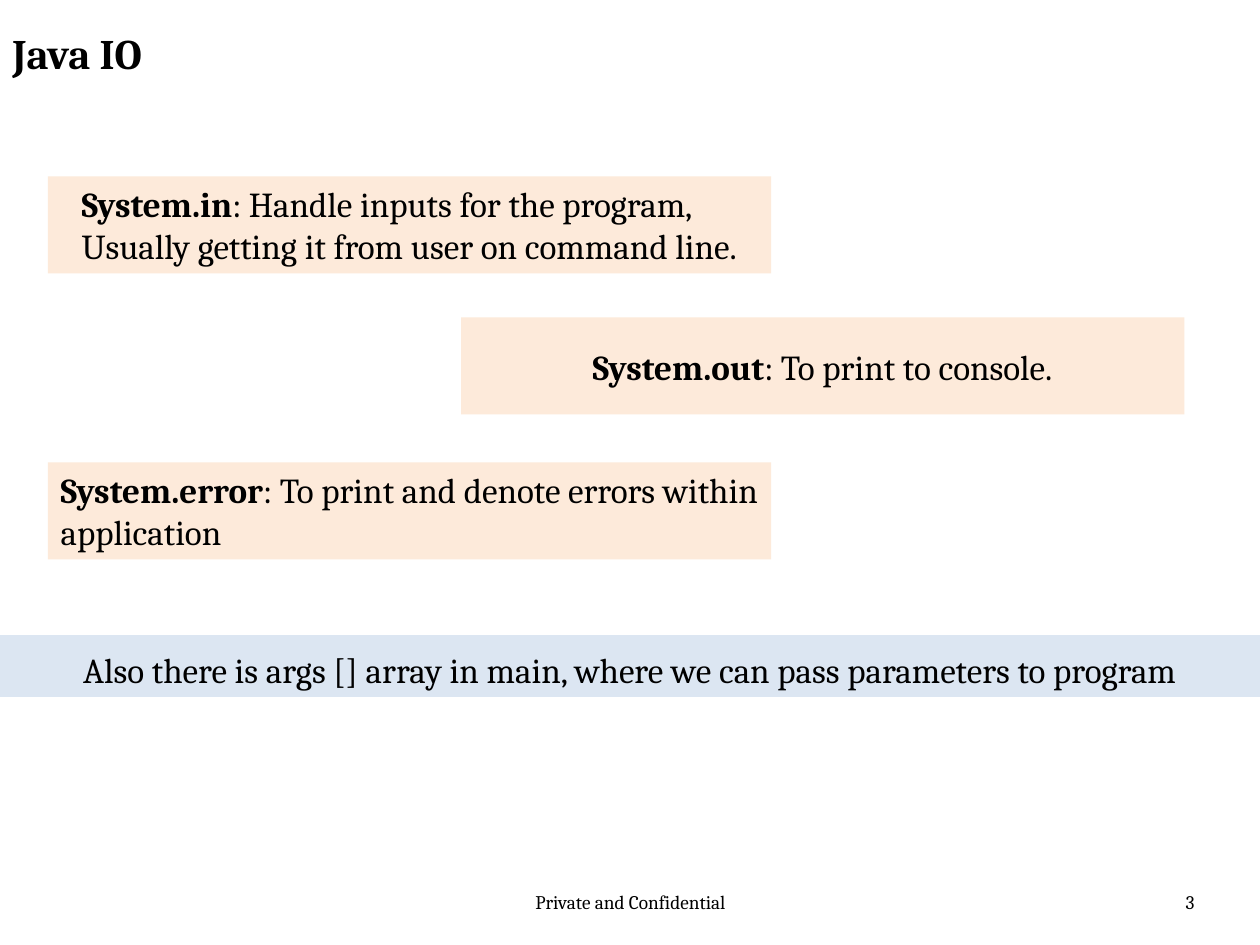
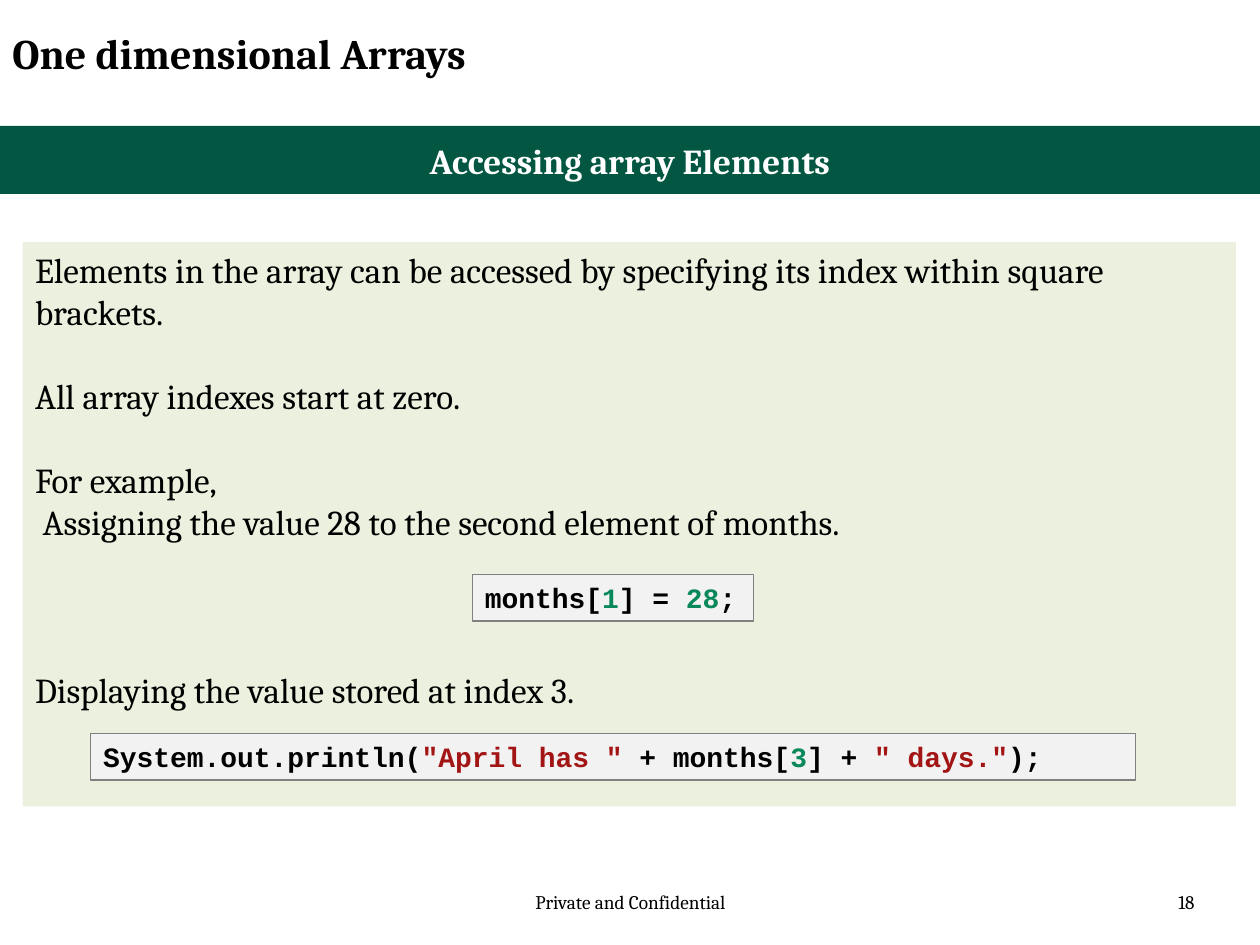
"""Build two Java lesson slides: console streams and one dimensional arrays."""
from dataclasses import dataclass

from pptx import Presentation
from pptx.dml.color import RGBColor
from pptx.enum.shapes import MSO_SHAPE
from pptx.enum.text import MSO_ANCHOR, PP_ALIGN
from pptx.util import Inches, Pt


@dataclass(frozen=True)
class Theme:
    ink: str = "000000"
    white: str = "FFFFFF"
    green: str = "035642"
    blue: str = "DCE6F2"
    peach: str = "FDEADA"
    sage: str = "EBF1DE"
    pale: str = "F2F2F2"
    grey: str = "808080"
    digit: str = "09885A"
    quote: str = "A31515"
    serif: str = "Cambria"
    mono: str = "Courier New"
    title: int = 24
    body: int = 20
    code: int = 16
    foot: int = 11


look = Theme()


def put(slide, text, at, size=look.body, font=look.serif, color=look.ink, bold=False,
        align=PP_ALIGN.LEFT, anchor=MSO_ANCHOR.TOP, fill=None, line=None,
        pad=(0.05, 0.05), wrap=True, center=False, gaps=()):
    """Add a box; text is a string or a list of paragraphs of (words, format) runs."""
    spot = [Inches(n) for n in at]
    if fill:
        box = slide.shapes.add_shape(MSO_SHAPE.RECTANGLE, *spot)
        box.shadow.inherit = False
        box.fill.solid()
        box.fill.fore_color.rgb = RGBColor.from_string(fill)
        if line:
            box.line.color.rgb = RGBColor.from_string(line)
            box.line.width = Pt(0.75)
        else:
            box.line.fill.background()
    else:
        box = slide.shapes.add_textbox(*spot)
    frame = box.text_frame
    frame.word_wrap = wrap
    frame.vertical_anchor = anchor
    frame.margin_top, frame.margin_bottom = [Inches(n) for n in pad]
    if center:
        frame._txBody.bodyPr.set("anchorCtr", "1")
    paras = [[(text, {})]] if isinstance(text, str) else text
    for i, runs in enumerate(paras):
        para = frame.paragraphs[0] if i == 0 else frame.add_paragraph()
        para.alignment = align
        if gaps:
            para.space_before = Pt(gaps[i])
        for words, style in runs:
            run = para.add_run()
            run.text = words
            run.font.name = font
            run.font.size = Pt(size)
            run.font.bold = style.get("bold", bold)
            run.font.color.rgb = RGBColor.from_string(style.get("color", color))


deck = Presentation()
deck.slide_width, deck.slide_height = Inches(10), Inches(7.5)

pages = []
for title, number in [("Java IO", "3"), ("One dimensional Arrays", "18")]:
    page = deck.slides.add_slide(deck.slide_layouts[6])
    put(page, "Private and Confidential", (3.42, 7.02, 3.17, 0.4),
        size=look.foot, align=PP_ALIGN.CENTER)
    put(page, number, (7.25, 7.02, 2.33, 0.4), size=look.foot, align=PP_ALIGN.RIGHT)
    put(page, title, (0, 0.17, 7.58, 0.62), size=look.title, bold=True)
    pages.append(page)
stream, array = pages

band = dict(align=PP_ALIGN.CENTER, anchor=MSO_ANCHOR.MIDDLE)
put(stream, "Also there is args [] array in main, where we can pass parameters to program",
    (0, 5.04, 10, 0.49), fill=look.blue, pad=(0.1, 0.05), **band)
put(array, "Accessing array Elements", (0, 1, 10, 0.54), fill=look.green,
    color=look.white, bold=True, pad=(0.1, 0.1), **band)

cards = [
    (0.38, 1.4, "System.in",
     ": Handle inputs for the program, Usually getting it from user on command line."),
    (3.66, 2.52, "System.out", ": To print to console."),
    (0.38, 3.67, "System.error", ": To print and denote errors within application"),
]
for left, top, name, use in cards:
    put(stream, [[(name, {"bold": True}), (use, {})]], (left, top, 5.74, 0.77),
        fill=look.peach, anchor=MSO_ANCHOR.MIDDLE, center=True)

notes = [
    "Elements in the array can be accessed by specifying its index within square brackets.",
    "All array indexes start at zero.",
    "For example,",
    " Assigning the value 28 to the second element of months.",
    "Displaying the value stored at index 3.",
]
put(array, [[(note, {})] for note in notes], (0.18, 1.92, 9.63, 4.48),
    fill=look.sage, gaps=(0, 24, 24, 0, 72))

plain, digit, quote = [{"color": c} for c in (look.ink, look.digit, look.quote)]
assign = [("months[", plain), ("1", digit), ("] = ", plain), ("28", digit), (";", plain)]
show = [("System.out.println(", plain), ('"April has "', quote), (" + months[", plain),
        ("3", digit), ("] + ", plain), ('" days."', quote), (");", plain)]
for code, at, wrap in [(assign, (3.75, 4.56, 2.23, 0.37), False),
                       (show, (0.72, 5.82, 8.29, 0.37), True)]:
    put(array, [code], at, size=look.code, font=look.mono, bold=True,
        fill=look.pale, line=look.grey, wrap=wrap)

deck.save("out.pptx")
